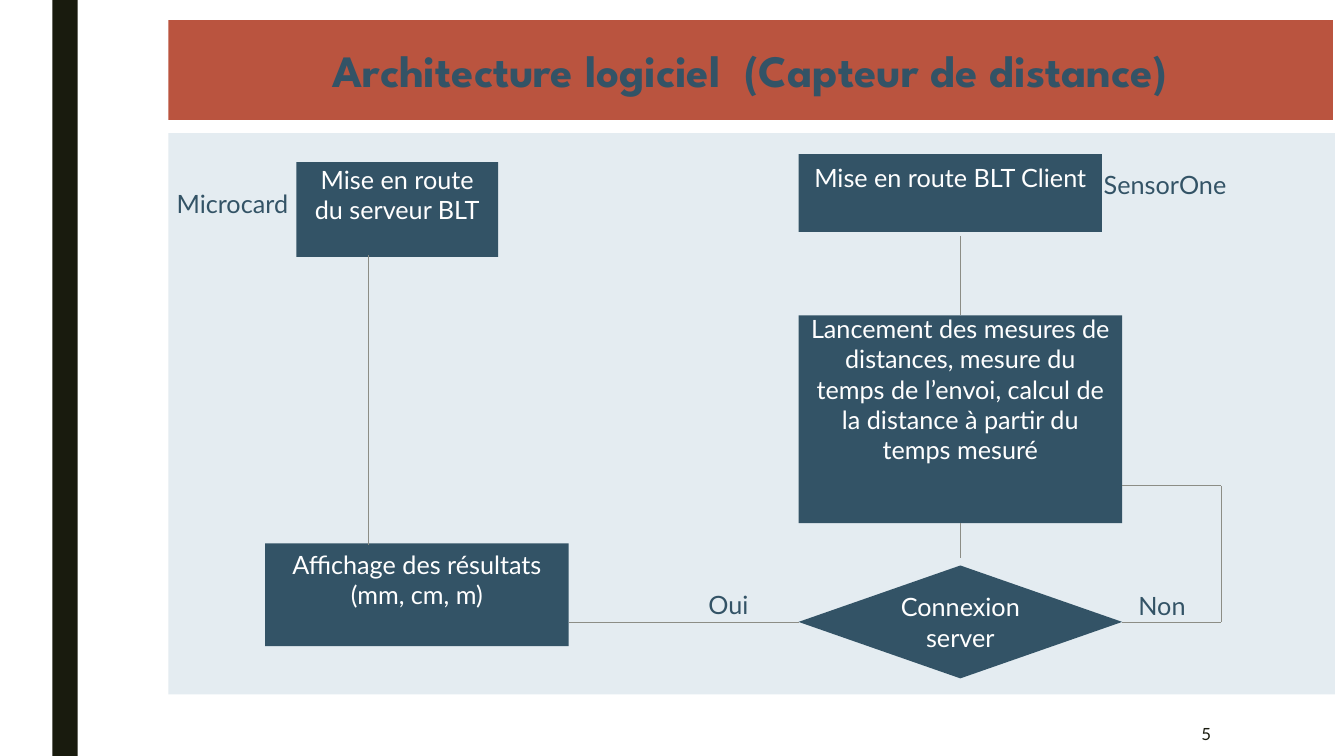
from pptx import Presentation
from pptx.dml.color import RGBColor
from pptx.enum.shapes import MSO_CONNECTOR, MSO_SHAPE
from pptx.enum.text import MSO_ANCHOR, MSO_AUTO_SIZE, PP_ALIGN
from pptx.oxml.ns import qn
from pptx.util import Inches, Pt
from lxml.etree import SubElement


def color(value):
    """Turn a hex string into a colour."""
    return RGBColor.from_string(value)


class FlowPage:
    """Draws flowchart elements in one style on one page."""

    BODY_FONT, TITLE_FONT = "Lato", "League Spartan"
    BLUE, RUST, PALE = "335366", "BA543F", "E4ECF1"
    DARK, GREY, WHITE = "191B0E", "8C8D86", "FFFFFF"
    LINE_HEIGHT = 0.3

    def __init__(self, deck):
        """Add a title-only page to the deck."""
        self.page = deck.slides.add_slide(deck.slide_layouts[5])

    def fill_text(self, shape, text, ink, size=18, font=BODY_FONT, bold=False,
                  align=PP_ALIGN.CENTER, lift=0):
        """Set the text of a shape, raised by room for `lift` lines below it."""
        frame = shape.text_frame
        frame.word_wrap = True
        frame.auto_size = MSO_AUTO_SIZE.NONE
        frame.vertical_anchor = MSO_ANCHOR.MIDDLE
        frame.margin_bottom = Inches(0.05 + lift * self.LINE_HEIGHT)
        para = frame.paragraphs[0]
        para.alignment = align
        span = para.add_run()
        span.text = text
        span.font.name = font
        span.font.size = Pt(size)
        span.font.bold = bold
        span.font.color.rgb = color(ink)

    def title(self, text, left, top, width, height):
        """Place the title placeholder as a coloured banner."""
        banner = self.page.shapes.title
        banner.left, banner.top = Inches(left), Inches(top)
        banner.width, banner.height = Inches(width), Inches(height)
        banner.fill.solid()
        banner.fill.fore_color.rgb = color(self.RUST)
        self.fill_text(banner, text, self.BLUE, 32, self.TITLE_FONT, True)

    def block(self, fill, left, top, width, height, kind=MSO_SHAPE.RECTANGLE):
        """Add a plain filled shape."""
        box = self.page.shapes.add_shape(
            kind, Inches(left), Inches(top), Inches(width), Inches(height))
        box.shadow.inherit = False
        box.fill.solid()
        box.fill.fore_color.rgb = color(fill)
        box.line.fill.background()
        return box

    def step(self, text, left, top, width, height, lift=1,
             kind=MSO_SHAPE.RECTANGLE):
        """Add a flowchart step with white text."""
        box = self.block(self.BLUE, left, top, width, height, kind)
        self.fill_text(box, text, self.WHITE, lift=lift)

    def label(self, text, left, top, width=3.17, height=0.75, **style):
        """Add a text box."""
        box = self.page.shapes.add_textbox(
            Inches(left), Inches(top), Inches(width), Inches(height))
        self.fill_text(box, text, **{"ink": self.BLUE, "lift": 1, **style})

    def link(self, x1, y1, x2, y2):
        """Join two points with a thin line."""
        line = self.page.shapes.add_connector(
            MSO_CONNECTOR.STRAIGHT,
            Inches(x1), Inches(y1), Inches(x2), Inches(y2))
        line.line.color.rgb = color(self.GREY)
        line.line.width = Pt(0.5)
        SubElement(line._element.spPr, qn("a:effectLst"))


def main():
    """Build the distance sensor flowchart."""
    deck = Presentation()
    deck.slide_width, deck.slide_height = Inches(13.33), Inches(7.5)
    flow = FlowPage(deck)

    flow.title("Architecture logiciel  (Capteur de distance)",
               1.67, 0.2, 11.55, 0.99)
    flow.block(flow.DARK, 0.52, 0, 0.25, 7.5)
    flow.block(flow.PALE, 1.67, 1.32, 11.57, 5.57)
    flow.label("5", 10.36, 7.06, 1.75, 0.44, ink=flow.DARK, size=12,
               align=PP_ALIGN.RIGHT, lift=0)

    client_left, client_width = 7.92, 3.21
    client_right = client_left + client_width
    client_middle = client_left + client_width / 2
    flow.step("Mise en route BLT Client", client_left, 1.53, 3.01, 0.77)
    flow.step("Mise en route du serveur BLT", 2.94, 1.61, 2, 0.94)
    flow.step("Lancement des mesures de distances, mesure du temps de "
              "l’envoi, calcul de la distance à partir du temps mesuré",
              client_left, 3.13, client_width, 2.06, lift=2)
    flow.step("Affichage des résultats (mm, cm, m)", 2.63, 5.39, 3.01, 1.02)
    flow.step("Connexion server", client_left, 5.61, client_width, 1.12,
              lift=0, kind=MSO_SHAPE.DIAMOND)

    for text, left, top in (("Non", 9.94, 5.78), ("Oui", 5.64, 5.77),
                            ("Microcard", 0.72, 1.79),
                            ("SensorOne", 9.97, 1.6)):
        flow.label(text, left, top)

    test_y, retry_y, retry_x = 6.17, 4.82, 12.11
    flow.link(client_left, test_y, 5.64, test_y)
    flow.link(retry_x, test_y, client_right, test_y)
    flow.link(retry_x, retry_y, retry_x, test_y)
    flow.link(retry_x, retry_y, client_right, retry_y)
    flow.link(client_middle, 5.19, client_middle, 5.54)
    flow.link(client_middle, 2.34, client_middle, 3.13)
    flow.link(3.65, 2.53, 3.65, 5.41)

    deck.save("out.pptx")


if __name__ == "__main__":
    main()
